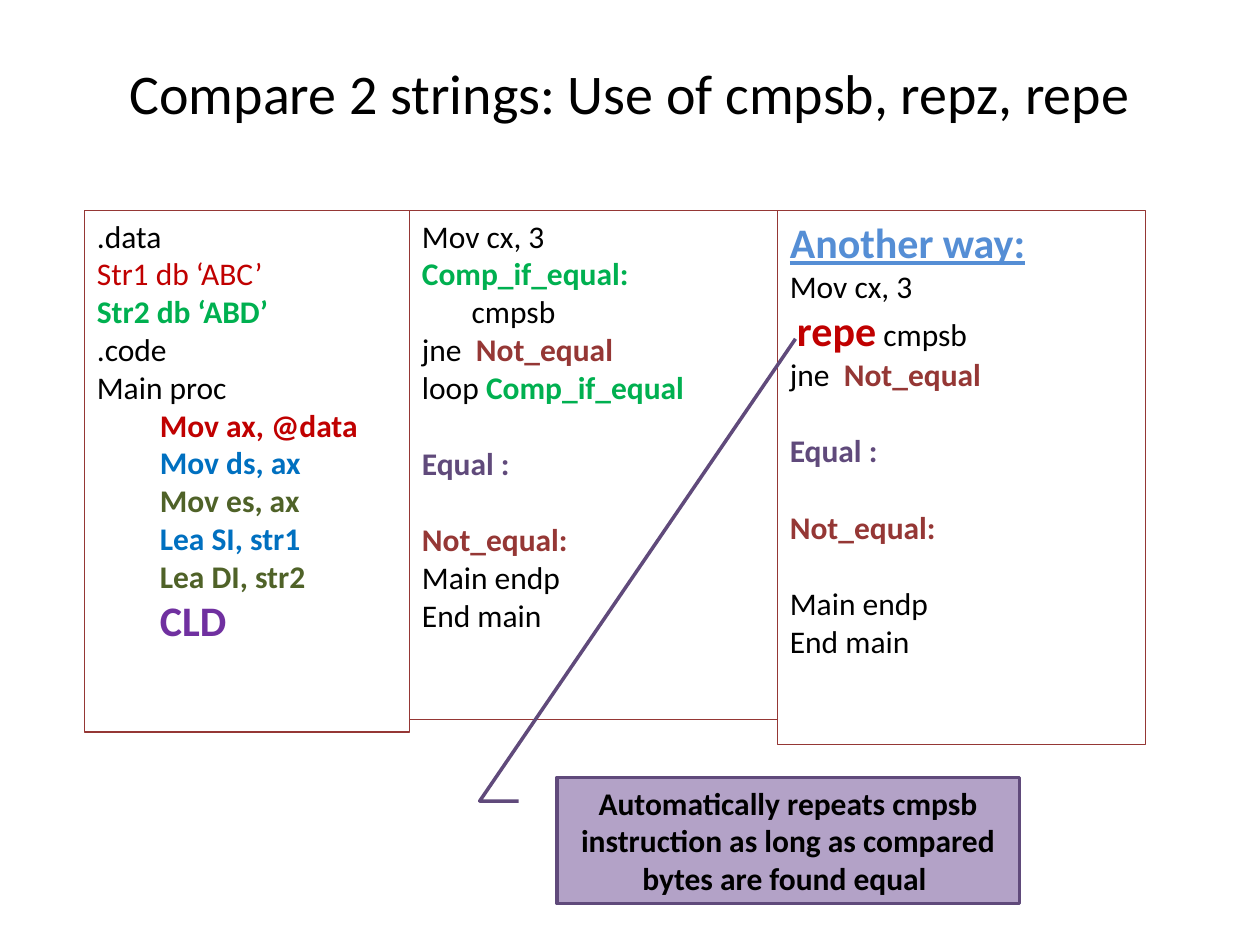
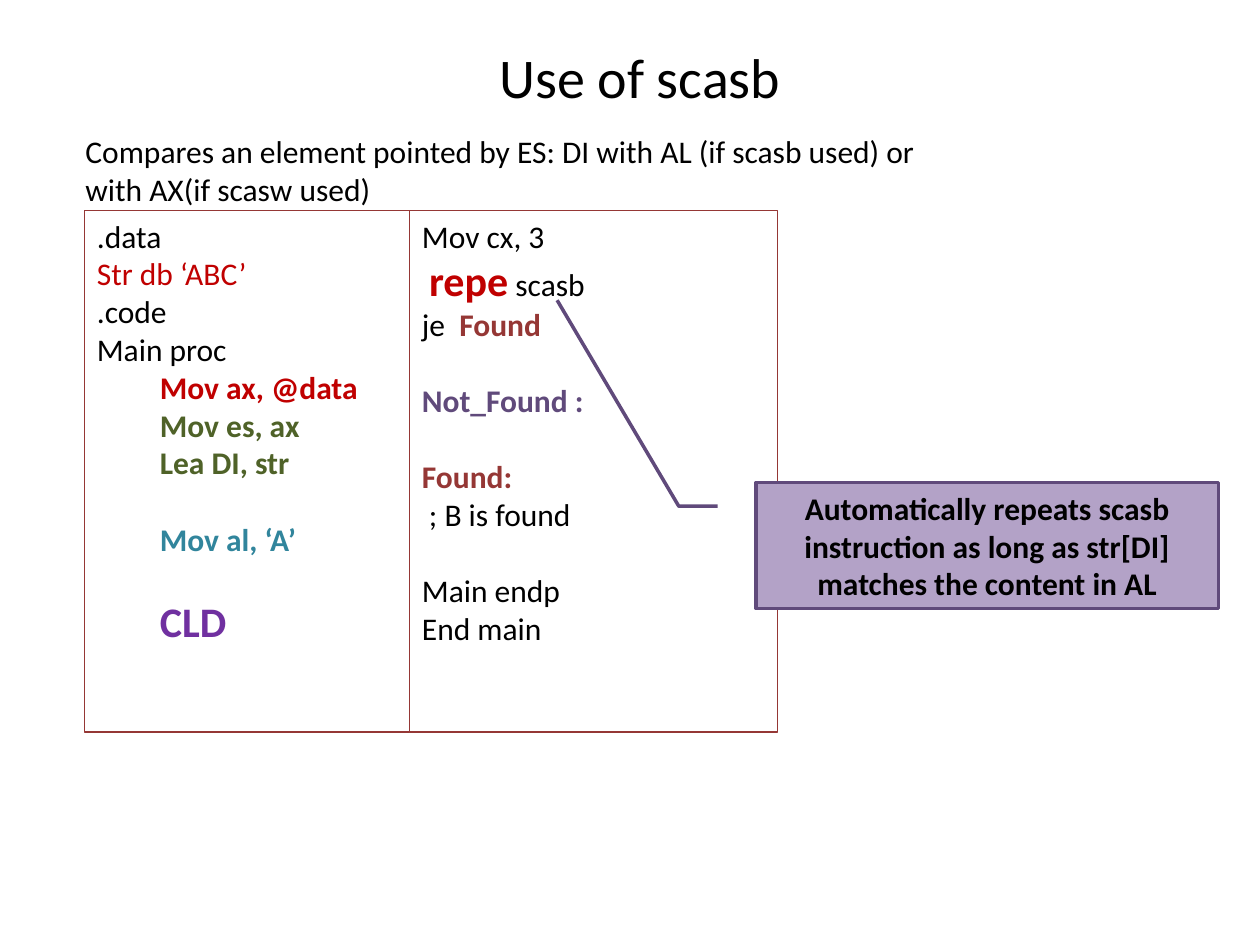
from typing import NamedTuple

from pptx import Presentation
from pptx.dml.color import RGBColor
from pptx.enum.shapes import MSO_SHAPE
from pptx.enum.text import MSO_ANCHOR, PP_ALIGN
from pptx.util import Inches, Pt

RECT = MSO_SHAPE.RECTANGLE
CALLOUT = MSO_SHAPE.LINE_CALLOUT_2
TOP, MIDDLE = MSO_ANCHOR.TOP, MSO_ANCHOR.MIDDLE
LEFT, CENTER = PP_ALIGN.LEFT, PP_ALIGN.CENTER

FACE = "Calibri"
BLACK, RED, GREEN, BLUE = "000000", "C00000", "00B050", "0070C0"
OLIVE, MAROON, PLUM, VIOLET = "4F6228", "953735", "604A7B", "7030A0"
SKY, TEAL, LILAC = "558ED5", "31859C", "B3A2C7"
TITLE_SIZE, BIG, BODY = 32, 24, 18
ROW = Pt(22)  # height of one body line
PANEL_TOP = 1.67


class Box(NamedTuple):
    left: float
    top: float
    width: float
    height: float


class Run(NamedTuple):
    text: str
    color: str = BLACK
    bold: bool = False
    size: int = BODY
    under: bool = False


class Line(NamedTuple):
    runs: list[Run]
    level: int = 0
    gap: bool = False


class Panel(NamedTuple):
    left: float
    width: float
    height: float
    lines: list[Line]


class Note(NamedTuple):
    left: float
    top: float
    text: str
    tip: tuple[float, float]  # end of the leader: y, x


class Page(NamedTuple):
    title: str
    place: Box
    panels: list[Panel]
    note: Note
    intro: str = ""


def code(text: str, color: str = BLACK, gap: bool = False) -> Line:
    return Line([Run(text, color)], gap=gap)


def label(text: str, color: str, gap: bool = False) -> Line:
    return Line([Run(text, color, True)], gap=gap)


def step(text: str, color: str, size: int = BODY, gap: bool = False) -> Line:
    return Line([Run(text, color, True, size)], 1, gap)


def jump(verb: str, target: str, color: str = MAROON) -> Line:
    return Line([Run(verb), Run(target, color, True)])


def repeat(verb: str) -> Line:
    return Line([Run(" "), Run("repe", RED, True, BIG), Run(" " + verb)])


def ending(gap: bool = False) -> list[Line]:
    return [code("Main endp", gap=gap), code("End main")]


LOAD = step("Mov ax, @data", RED)
EXTRA = step("Mov es, ax", OLIVE)
START = [code(".code"), code("Main proc"), LOAD]
COUNT = code("Mov cx, 3")
UNEQUAL = jump("jne  ", "Not_equal")
RESULTS = [label("Equal :", PLUM, True), label("Not_equal:", MAROON, True)]

PAGES = [
    Page(
        "Compare 2 strings: Use of cmpsb, repz, repe",
        Box(0.5, 0.3, 9, 0.87),
        [
            Panel(0.67, 2.58, 4.14, [
                code(".data"),
                code("Str1 db ‘ABC’", RED),
                label("Str2 db ‘ABD’", GREEN),
                *START,
                step("Mov ds, ax", BLUE),
                EXTRA,
                step("Lea SI, str1", BLUE),
                step("Lea DI, str2", OLIVE),
                step("CLD", VIOLET, BIG),
            ]),
            Panel(3.25, 2.92, 4.04, [
                COUNT,
                label("Comp_if_equal:", GREEN),
                code("       cmpsb"),
                UNEQUAL,
                jump("loop ", "Comp_if_equal", GREEN),
                *RESULTS,
                *ending(),
            ]),
            Panel(6.17, 2.92, 4.24, [
                Line([Run("Another way:", SKY, True, BIG, True)]),
                COUNT,
                repeat("cmpsb"),
                UNEQUAL,
                *RESULTS,
                *ending(True),
            ]),
        ],
        Note(4.42, 6.17, "Automatically repeats cmpsb instruction as long as "
             "compared bytes are found equal ", (-3.481, 0.516)),
    ),
    Page(
        "Use of scasb",
        Box(0.58, 0.17, 9, 0.87),
        [
            Panel(0.67, 2.58, 4.14, [
                code(".data"),
                code("Str db ‘ABC’", RED),
                *START,
                EXTRA,
                step("Lea DI, str", OLIVE),
                step("Mov al, ‘A’", TEAL, gap=True),
                step("CLD", VIOLET, BIG, True),
            ]),
            Panel(3.25, 2.92, 4.14, [
                COUNT,
                repeat("scasb"),
                jump("je  ", "Found"),
                label("Not_Found :", PLUM, True),
                label("Found:", MAROON, True),
                code(" ; B is found"),
                *ending(True),
            ]),
        ],
        Note(6, 3.83, "Automatically repeats scasb instruction as long as "
             "str[DI] matches the content in AL", (-1.447, -0.43)),
        "Compares an element pointed by ES: DI with AL (if scasb used) "
        "or with AX(if scasw used)",
    ),
]


def rgb(color: str) -> RGBColor:
    return RGBColor.from_string(color)


def lengths(box: Box) -> list[Inches]:
    return [Inches(value) for value in box]


def style(font, run: Run) -> None:
    font.size = Pt(run.size)
    font.bold = run.bold
    font.underline = run.under
    font.color.rgb = rgb(run.color)


def write(frame, lines: list[Line], align=LEFT, anchor=TOP) -> None:
    frame.word_wrap = True
    frame.vertical_anchor = anchor
    for index, line in enumerate(lines):
        para = frame.add_paragraph() if index else frame.paragraphs[0]
        para.alignment = align
        para.level = line.level
        if line.gap:
            para.space_before = ROW
        para.font.name = FACE
        if len(line.runs) == 1:
            style(para.font, line.runs[0])
        for run in line.runs:
            part = para.add_run()
            part.text = run.text
            if len(line.runs) > 1:
                style(part.font, run)


def add_box(slide, kind, box: Box, color: str, weight: float):
    shape = slide.shapes.add_shape(kind, *lengths(box))
    shape.shadow.inherit = False
    shape.line.color.rgb = rgb(color)
    shape.line.width = Pt(weight)
    return shape


def add_panel(slide, panel: Panel) -> None:
    box = Box(panel.left, PANEL_TOP, panel.width, panel.height)
    shape = add_box(slide, RECT, box, MAROON, 0.75)
    shape.fill.background()
    write(shape.text_frame, panel.lines)


def add_note(slide, note: Note) -> None:
    box = Box(note.left, note.top, 3.67, 1)
    shape = add_box(slide, CALLOUT, box, PLUM, 2)
    shape.fill.solid()
    shape.fill.fore_color.rgb = rgb(LILAC)
    for index, value in enumerate((0.188, -0.083, 0.188, -0.167, *note.tip)):
        shape.adjustments[index] = value
    write(shape.text_frame, [label(note.text, BLACK)], CENTER, MIDDLE)


def add_page(deck, page: Page) -> None:
    slide = deck.slides.add_slide(deck.slide_layouts.get_by_name("Title Only"))
    title = slide.shapes.title
    title.left, title.top, title.width, title.height = lengths(page.place)
    heading = Line([Run(page.title, size=TITLE_SIZE)])
    write(title.text_frame, [heading], CENTER, MIDDLE)
    for panel in page.panels:
        add_panel(slide, panel)
    add_note(slide, page.note)
    if page.intro:
        intro = slide.shapes.add_textbox(*lengths(Box(0.58, 1, 7.08, 0.71)))
        write(intro.text_frame, [code(page.intro)])


def main() -> None:
    deck = Presentation()
    deck.slide_width, deck.slide_height = Inches(10), Inches(7.5)
    for page in PAGES:
        add_page(deck, page)
    deck.save("out.pptx")


if __name__ == "__main__":
    main()
